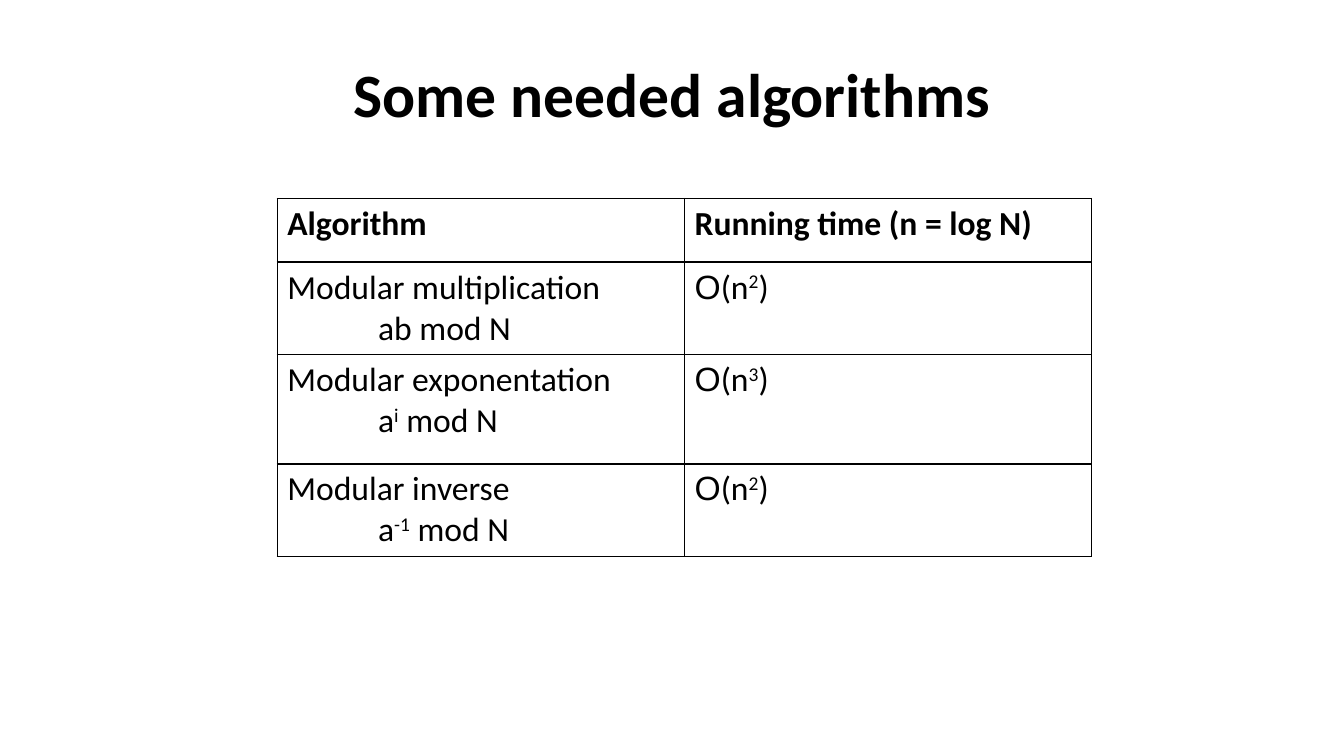
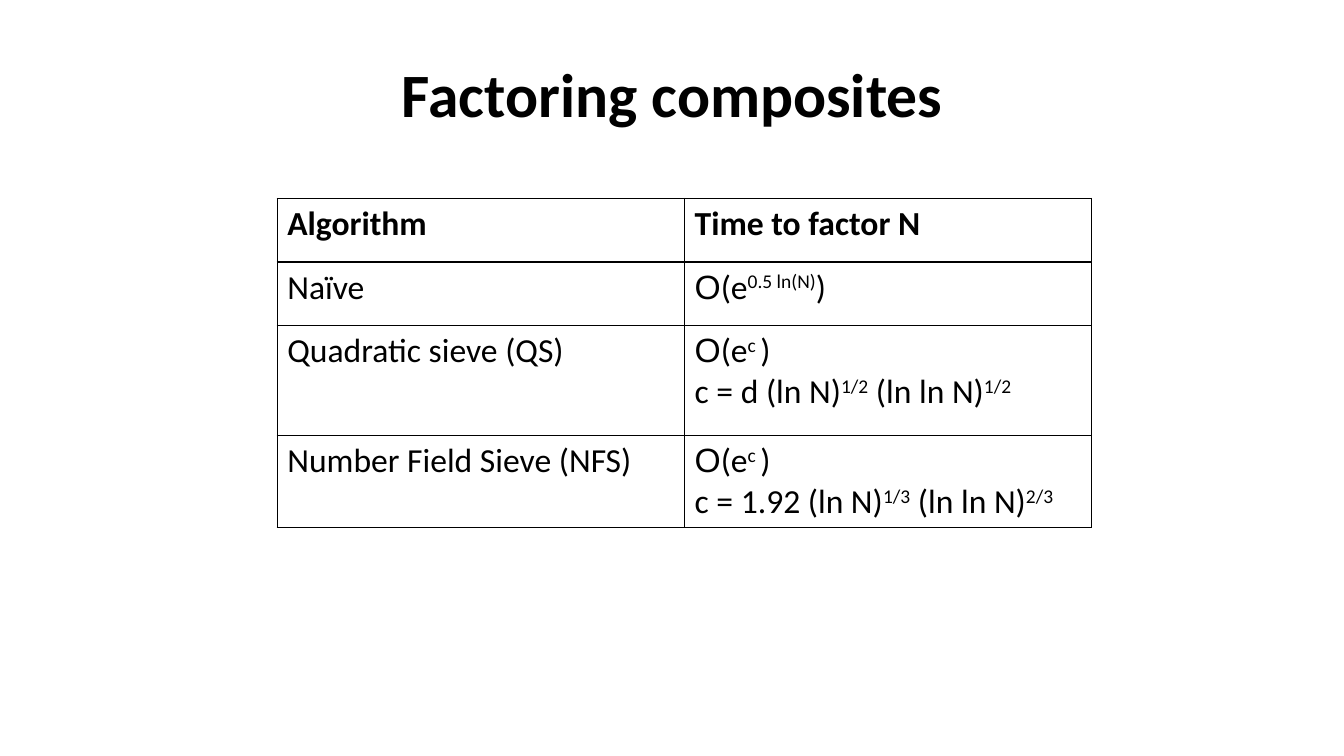
from dataclasses import dataclass

from lxml.etree import SubElement
from pptx import Presentation
from pptx.dml.color import RGBColor
from pptx.enum.text import MSO_ANCHOR, PP_ALIGN
from pptx.oxml.ns import qn
from pptx.slide import Slide
from pptx.table import _Cell
from pptx.text.text import Font, _Paragraph
from pptx.util import Inches, Pt

COLORS = {"text": "000000", "border": "000000"}
BODY_FONT = "Calibri"
BIG_O_FONT = "Arial"
TITLE_ONLY_LAYOUT = 5
COLUMN_WIDTH = Inches(4.04)
ROW_HEIGHTS = [Inches(height) for height in (0.63, 0.63, 1.09, 0.63)]
FORMULA_INDENT = Inches(0.9)
BORDER_WIDTH = Pt(1)


@dataclass(frozen=True)
class Line:
    """One paragraph; text between vertical bars is superscript."""
    text: str
    indented: bool = False


@dataclass(frozen=True)
class TableSlide:
    title: str
    headers: tuple[str, str]
    rows: tuple[tuple[list[Line], list[Line]], ...]


SLIDES = (
    TableSlide(
        "Some needed algorithms",
        ("Algorithm", "Running time (n = log N)"),
        (
            ([Line("Modular multiplication"), Line("ab mod N", True)], [Line("O(n|2|)")]),
            ([Line("Modular exponentation"), Line("a|i| mod N", True)], [Line("O(n|3|)")]),
            ([Line("Modular inverse"), Line("a|-1| mod N", True)], [Line("O(n|2|)")]),
        ),
    ),
    TableSlide(
        "Factoring composites",
        ("Algorithm", "Time to factor N"),
        (
            ([Line("Naïve")], [Line("O(e|0.5 ln(N)|)")]),
            ([Line("Quadratic sieve (QS)")],
             [Line("O(e|c |)"), Line("c = d (ln N)|1/2| (ln ln N)|1/2|")]),
            ([Line("Number Field Sieve (NFS)")],
             [Line("O(e|c |)"), Line("c = 1.92 (ln N)|1/3| (ln ln N)|2/3|")]),
        ),
    ),
)


def style_font(font: Font, size: int, bold: bool) -> None:
    font.name = BODY_FONT
    font.size = Pt(size)
    font.bold = bold
    font.color.rgb = RGBColor.from_string(COLORS["text"])


def add_title(slide: Slide, text: str) -> None:
    title = slide.shapes.title
    title.left, title.top = Inches(0.67), Inches(0.3)
    title.width, title.height = Inches(12), Inches(1.25)
    title.text_frame.text = text
    title.text_frame.vertical_anchor = MSO_ANCHOR.MIDDLE
    paragraph = title.text_frame.paragraphs[0]
    paragraph.alignment = PP_ALIGN.CENTER
    style_font(paragraph.font, 44, True)


def add_runs(paragraph: _Paragraph, text: str) -> None:
    """Write the text, with a leading big O in its own font and raised exponents."""
    if text.startswith("O("):
        big_o = paragraph.add_run()
        big_o.text = "O"
        big_o.font.name = BIG_O_FONT
        text = text[1:]
    for index, part in enumerate(text.split("|")):
        if part:
            run = paragraph.add_run()
            run.text = part
            if index % 2:
                run._r.get_or_add_rPr().set("baseline", "30000")


def set_borders(cell: _Cell) -> None:
    properties = cell._tc.get_or_add_tcPr()
    for side in ("a:lnL", "a:lnR", "a:lnT", "a:lnB"):
        border = SubElement(properties, qn(side), w=str(BORDER_WIDTH))
        fill = SubElement(border, qn("a:solidFill"))
        SubElement(fill, qn("a:srgbClr"), val=COLORS["border"])


def fill_cell(cell: _Cell, lines: list[Line], bold: bool) -> None:
    set_borders(cell)
    cell.fill.background()
    for index, line in enumerate(lines):
        frame = cell.text_frame
        paragraph = frame.add_paragraph() if index else frame.paragraphs[0]
        if line.indented:
            paragraph._p.get_or_add_pPr().set("marL", str(FORMULA_INDENT))
        style_font(paragraph.font, 24, bold)
        add_runs(paragraph, line.text)


def add_algorithm_table(slide: Slide, content: TableSlide) -> None:
    rows = [tuple([Line(header)] for header in content.headers), *content.rows]
    columns = len(content.headers)
    table = slide.shapes.add_table(
        len(rows), columns, Inches(2.75), Inches(1.97),
        COLUMN_WIDTH * columns, sum(ROW_HEIGHTS),
    ).table
    table.horz_banding = False
    for column in table.columns:
        column.width = COLUMN_WIDTH
    for row_index, (row, height) in enumerate(zip(rows, ROW_HEIGHTS)):
        table.rows[row_index].height = height
        for column_index, lines in enumerate(row):
            fill_cell(table.cell(row_index, column_index), lines, bold=row_index == 0)


def main() -> None:
    presentation = Presentation()
    presentation.slide_width, presentation.slide_height = Inches(13.33), Inches(7.5)
    for content in SLIDES:
        slide = presentation.slides.add_slide(presentation.slide_layouts[TITLE_ONLY_LAYOUT])
        add_title(slide, content.title)
        add_algorithm_table(slide, content)
    presentation.save("out.pptx")


if __name__ == "__main__":
    main()
